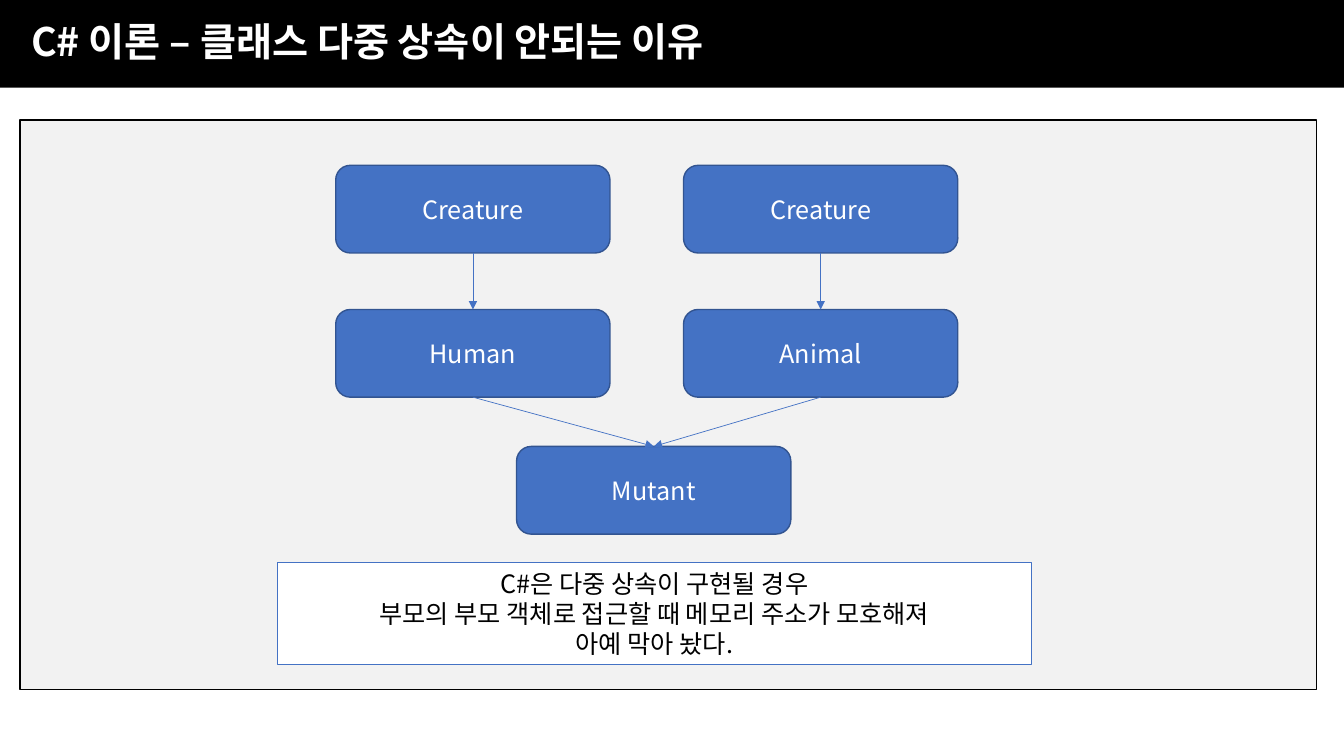
import dataclasses

import lxml.etree
import pptx
import pptx.dml.color
import pptx.enum.shapes
import pptx.enum.text
import pptx.oxml.ns
import pptx.util

SHAPES = pptx.enum.shapes.MSO_SHAPE
ALIGN = pptx.enum.text.PP_ALIGN
MIDDLE = pptx.enum.text.MSO_ANCHOR.MIDDLE
TOP, BOTTOM = 0, 2


@dataclasses.dataclass(frozen=True)
class Theme:
    font: str = "Noto Sans CJK KR"
    black: str = "000000"
    white: str = "FFFFFF"
    panel: str = "F2F2F2"
    accent: str = "4472C4"
    outline: str = "325491"
    title_size: int = 28
    body_size: int = 18
    border: float = 1
    arrow: float = 0.5


def color(value):
    return pptx.dml.color.RGBColor.from_string(value)


def add_element(parent, tag, **attributes):
    return lxml.etree.SubElement(parent, pptx.oxml.ns.qn(tag), attributes)


class ClassDiagram:
    grid_left, grid_top = 24.98, 21.87
    column_step, row_step = 25.88, 19.07
    node_width, node_height = 20.41, 11.6

    def __init__(self, deck, theme):
        self.deck = deck
        self.theme = theme
        self.page = deck.slides.add_slide(deck.slide_layouts[5])

    def area(self, left, top, width, height):
        across, down = self.deck.slide_width / 100, self.deck.slide_height / 100
        return [round(length) for length in (left * across, top * down, width * across, height * down)]

    def label(self, box, text, size, ink, align, bold=False):
        frame = box.text_frame
        frame.text = text
        frame.word_wrap = True
        frame.auto_size = pptx.enum.text.MSO_AUTO_SIZE.NONE
        frame.vertical_anchor = MIDDLE
        for para in frame.paragraphs:
            para.alignment = align
            for span in para.runs:
                span.font.size = pptx.util.Pt(size)
                span.font.bold = bold
                span.font.color.rgb = color(ink)
                span.font.name = self.theme.font
                add_element(span._r.get_or_add_rPr(), "a:ea", typeface=self.theme.font)

    def title(self, text, height):
        box = self.page.shapes.title
        box.left, box.top, box.width, box.height = self.area(0, 0, 100, height)
        box.fill.solid()
        box.fill.fore_color.rgb = color(self.theme.black)
        self.label(box, text, self.theme.title_size, self.theme.white, ALIGN.LEFT, True)
        box.text_frame.margin_left = pptx.util.Inches(0.31)
        box.text_frame.paragraphs[0].line_spacing = 0.9

    def block(self, kind, area, fill, line):
        box = self.page.shapes.add_shape(kind, *self.area(*area))
        box.shadow.inherit = False
        box.fill.solid()
        box.fill.fore_color.rgb = color(fill)
        box.line.color.rgb = color(line)
        box.line.width = pptx.util.Pt(self.theme.border)
        return box

    def panel(self, area):
        self.block(SHAPES.RECTANGLE, area, self.theme.panel, self.theme.black)

    def node(self, text, column, row):
        area = (self.grid_left + column * self.column_step, self.grid_top + row * self.row_step,
                self.node_width, self.node_height)
        box = self.block(SHAPES.ROUNDED_RECTANGLE, area, self.theme.accent, self.theme.outline)
        self.label(box, text, self.theme.body_size, self.theme.white, ALIGN.CENTER)
        return box

    def note(self, text, area):
        box = self.block(SHAPES.RECTANGLE, area, self.theme.white, self.theme.accent)
        self.label(box, text, self.theme.body_size, self.theme.black, ALIGN.CENTER)

    def arrow(self, parent, child):
        link = self.page.shapes.add_connector(pptx.enum.shapes.MSO_CONNECTOR.STRAIGHT, 0, 0, 0, 0)
        link.begin_connect(parent, BOTTOM)
        link.end_connect(child, TOP)
        link.line.color.rgb = color(self.theme.accent)
        link.line.width = pptx.util.Pt(self.theme.arrow)
        properties = link._element.spPr
        add_element(properties.find(pptx.oxml.ns.qn("a:ln")), "a:tailEnd", type="triangle")
        add_element(properties, "a:effectLst")


def main():
    deck = pptx.Presentation()
    deck.slide_width = pptx.util.Inches(13.33)
    deck.slide_height = pptx.util.Inches(7.5)

    diagram = ClassDiagram(deck, Theme())
    diagram.title("C# 이론 – 클래스 다중 상속이 안되는 이유", 11.6)
    diagram.panel((1.5, 15.87, 96.47, 75.33))

    mutant = diagram.node("Mutant", 0.52, 1.95)
    for column, name in enumerate(("Human", "Animal")):
        creature = diagram.node("Creature", column, 0)
        parent = diagram.node(name, column, 1)
        diagram.arrow(creature, parent)
        diagram.arrow(parent, mutant)

    diagram.note(
        "C#은 다중 상속이 구현될 경우\n"
        "부모의 부모 객체로 접근할 때 메모리 주소가 모호해져\n"
        "아예 막아 놨다.",
        (20.63, 74.4, 56.11, 13.47),
    )
    deck.save("out.pptx")


if __name__ == "__main__":
    main()
